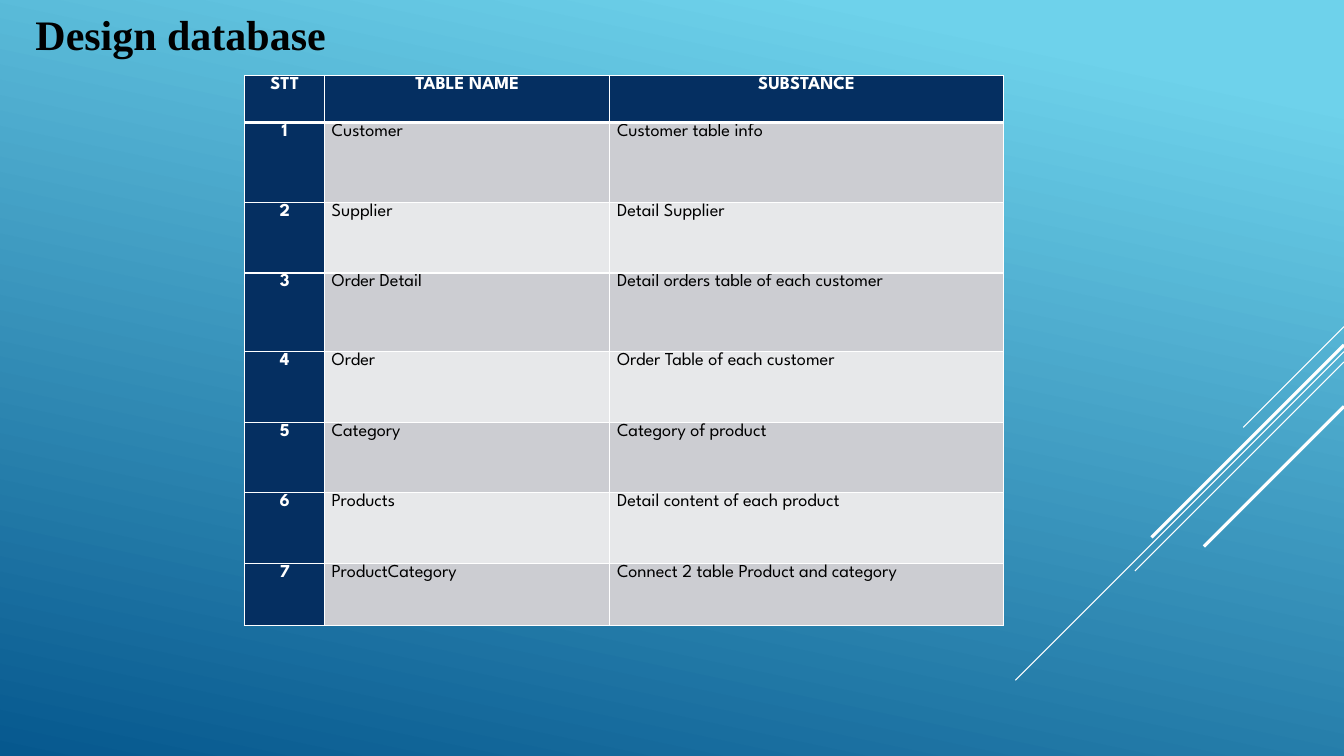
import pptx
import pptx.dml.color
import pptx.enum.text
import pptx.oxml
import pptx.oxml.ns
import pptx.util
from pptx.util import Cm

COLOURS = {
    "sky": "6ED2EB",
    "deep": "06588E",
    "navy": "052F61",
    "odd": "CCCDD2",
    "even": "E7E8EA",
    "white": "FFFFFF",
    "black": "000000",
}
ALIGN = pptx.enum.text.PP_ALIGN
ANCHOR = pptx.enum.text.MSO_ANCHOR


def colour(name):
    return pptx.dml.color.RGBColor.from_string(COLOURS[name])


def write(para, text, font, size, bold, ink, align):
    """Fill a paragraph with one formatted run."""
    para.alignment = align
    para.line_spacing = 1.07
    span = para.add_run()
    span.text = text
    span.font.name = font
    span.font.size = pptx.util.Pt(size)
    span.font.bold = bold
    span.font.color.rgb = colour(ink)


deck = pptx.Presentation()
deck.slide_width, deck.slide_height = Cm(33.87), Cm(19.05)
page = deck.slides.add_slide(deck.slide_layouts[5])

# Background gradient
backdrop = page.background.fill
backdrop.gradient()
backdrop.gradient_angle = 258
for stop, (name, position) in zip(backdrop.gradient_stops, [("sky", 0.1), ("deep", 1)]):
    stop.color.rgb = colour(name)
    stop.position = position

# Diagonal lines from the right edge, all at 45 degrees: top, run, width
diagonals = [
    (8.23, 2.54, 0.75),
    (8.86, 8.28, 0.75),
    (9.12, 5.27, 0.75),
    (8.69, 4.85, 2.25),
    (10.24, 3.53, 2.25),
]
for top, run, width in diagonals:
    line = page.shapes.add_connector(
        pptx.enum.shapes.MSO_CONNECTOR.STRAIGHT,
        Cm(33.87), Cm(top), Cm(33.87 - run), Cm(top + run))
    line.line.color.rgb = colour("white")
    line.line.width = pptx.util.Pt(width)
    line._element.spPr.append(pptx.oxml.parse_xml(
        f"<a:effectLst {pptx.oxml.ns.nsdecls('a')}/>"))

# Title
title = page.shapes.title
title.left, title.top, title.width, title.height = Cm(0.64), Cm(0), Cm(8.18), Cm(1.55)
frame = title.text_frame
frame.word_wrap = False
frame.auto_size = pptx.enum.text.MSO_AUTO_SIZE.SHAPE_TO_FIT_TEXT
frame.vertical_anchor = ANCHOR.TOP
write(frame.paragraphs[0], "Design database", "Times New Roman", 30, True, "black", ALIGN.LEFT)

# Table of database tables
entries = [
    ("STT", "TABLE NAME", "SUBSTANCE"),
    ("1", "Customer", "Customer table info"),
    ("2", "Supplier", "Detail Supplier"),
    ("3", "Order Detail", "Detail orders table of each customer"),
    ("4", "Order", "Order Table of each customer"),
    ("5", "Category", "Category of product"),
    ("6", "Products", "Detail content of each product"),
    ("7", "ProductCategory", "Connect 2 table Product and category"),
]
column_widths = [2.01, 7.19, 9.91]
row_heights = [1.19, 2.01, 1.78, 1.98, 1.78, 1.78, 1.78, 1.57]
table = page.shapes.add_table(
    len(entries), len(column_widths), Cm(6.17), Cm(1.9),
    Cm(sum(column_widths)), Cm(sum(row_heights))).table
for column, width in zip(table.columns, column_widths):
    column.width = Cm(width)
for row, height in zip(table.rows, row_heights):
    row.height = Cm(height)

for row_index, entry in enumerate(entries):
    for column_index, text in enumerate(entry):
        cell = table.cell(row_index, column_index)
        cell.margin_left = cell.margin_right = Cm(0.18)
        cell.margin_top = cell.margin_bottom = Cm(0)
        cell.vertical_anchor = ANCHOR.TOP
        heading = row_index == 0 or column_index == 0
        write(cell.text_frame.paragraphs[0], text, "League Spartan", 13, heading,
              "white" if heading else "black", ALIGN.CENTER if heading else ALIGN.LEFT)

        # A thick rule parts the header from the rows below
        thick_side = {0: "B", 1: "T"}.get(row_index)
        properties = cell._tc.get_or_add_tcPr()
        for side in "LRTB":
            width = pptx.util.Pt(3 if side == thick_side else 1)
            properties.append(pptx.oxml.parse_xml(
                f"<a:ln{side} {pptx.oxml.ns.nsdecls('a')} w='{width}'><a:solidFill>"
                f"<a:srgbClr val='{COLOURS['white']}'/></a:solidFill></a:ln{side}>"))
        cell.fill.solid()
        band = "odd" if row_index % 2 else "even"
        cell.fill.fore_color.rgb = colour("navy" if heading else band)

deck.save("out.pptx")
